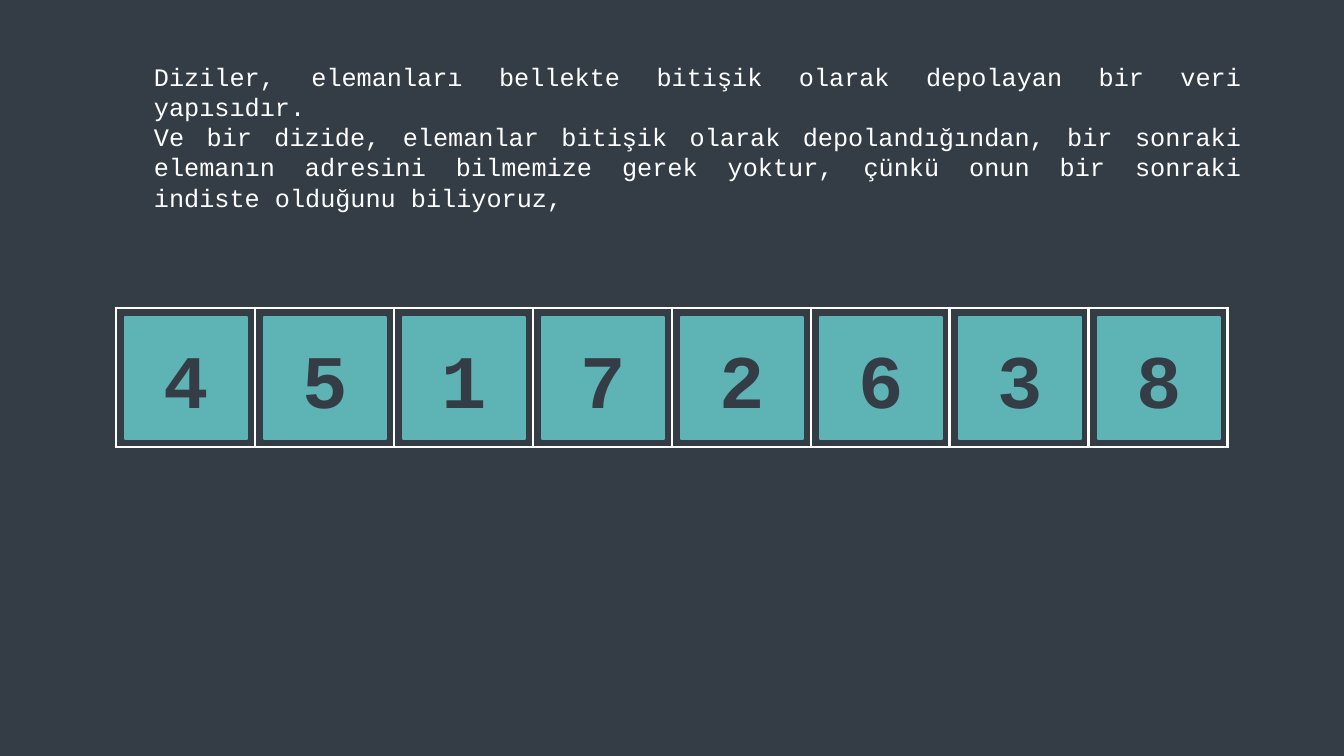
"""Build a slide that explains arrays with a row of eight adjacent memory cells."""
from lxml.etree import SubElement
from pptx import Presentation
from pptx.dml.color import RGBColor
from pptx.enum.shapes import MSO_SHAPE
from pptx.enum.text import MSO_ANCHOR, MSO_AUTO_SIZE, PP_ALIGN
from pptx.oxml.ns import qn
from pptx.util import Emu, Pt

SLATE = RGBColor(0x34, 0x3D, 0x46)
TEAL = RGBColor(0x5E, 0xB4, 0xB4)
WHITE = RGBColor(0xFF, 0xFF, 0xFF)
FONT = "Courier New"

VALUES = [4, 5, 1, 7, 2, 6, 3, 8]
EXPLANATION = [
    "Diziler, elemanları bellekte bitişik olarak depolayan bir veri yapısıdır. ",
    "Ve bir dizide, elemanlar bitişik olarak depolandığından, bir sonraki "
    "elemanın adresini bilmemize gerek yoktur, çünkü onun bir sonraki "
    "indiste olduğunu biliyoruz, ",
]
MEMORY_LEFT, MEMORY_TOP, CELL = 116, 308, 139
INSET, ELEMENT = 9, 122


def px(length):
    return Emu(round(length * 914400 / 100.8))


def style(paragraph, size, color, align, bold=False):
    paragraph.alignment = align
    paragraph.font.name = FONT
    paragraph.font.size = Pt(size)
    paragraph.font.bold = bold
    paragraph.font.color.rgb = color


prs = Presentation()
prs.slide_width, prs.slide_height = px(1344), px(756)
slide = prs.slides.add_slide(prs.slide_layouts[6])
slide.background.fill.solid()
slide.background.fill.fore_color.rgb = SLATE

memory = slide.shapes.add_table(
    1, len(VALUES), px(MEMORY_LEFT), px(MEMORY_TOP), px(CELL * len(VALUES)), px(CELL)
).table
memory.first_row = memory.horz_banding = False
for column, cell in zip(memory.columns, memory.rows[0].cells):
    column.width = px(CELL)
    properties = cell._tc.get_or_add_tcPr()
    for side in ("a:lnL", "a:lnR", "a:lnT", "a:lnB"):
        border = SubElement(properties, qn(side), w=str(Pt(2.25)))
        border_fill = SubElement(border, qn("a:solidFill"))
        SubElement(border_fill, qn("a:srgbClr"), val=str(WHITE))
    cell.fill.solid()
    cell.fill.fore_color.rgb = SLATE

for index, value in enumerate(VALUES):
    element = slide.shapes.add_shape(
        MSO_SHAPE.RECTANGLE, px(MEMORY_LEFT + INSET + index * CELL),
        px(MEMORY_TOP + INSET), px(ELEMENT), px(ELEMENT)
    )
    element.shadow.inherit = False
    element.fill.solid()
    element.fill.fore_color.rgb = TEAL
    element.line.color.rgb = TEAL
    element.line.width = Pt(1.5)
    element.text_frame.vertical_anchor = MSO_ANCHOR.MIDDLE
    element.text_frame.text = str(value)
    style(element.text_frame.paragraphs[0], 54, SLATE, PP_ALIGN.CENTER, bold=True)

explanation = slide.shapes.add_textbox(px(144), px(56), px(1107), px(132)).text_frame
explanation.word_wrap = True
explanation.auto_size = MSO_AUTO_SIZE.SHAPE_TO_FIT_TEXT
explanation.text = "\n".join(EXPLANATION)
for paragraph in explanation.paragraphs:
    style(paragraph, 18, WHITE, PP_ALIGN.JUSTIFY)

prs.save("out.pptx")
